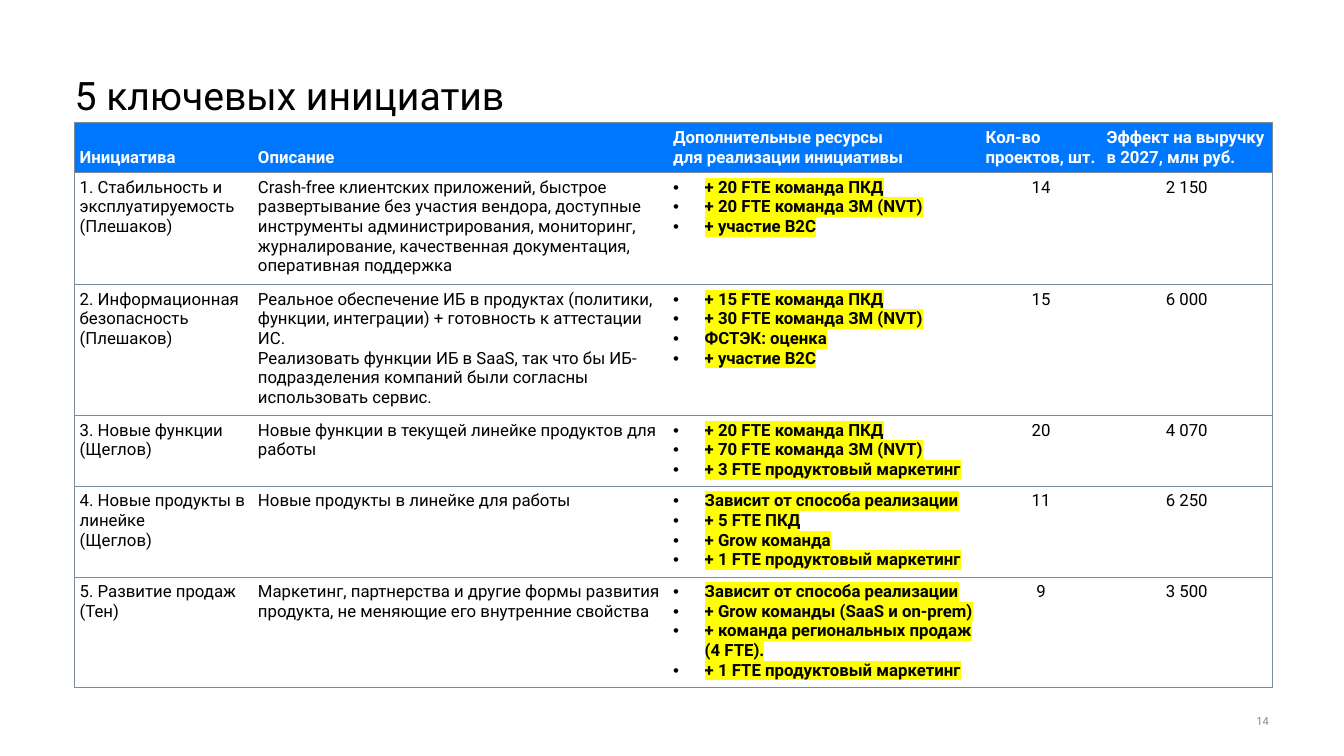
from lxml.etree import SubElement
from pptx import Presentation
from pptx.dml.color import RGBColor
from pptx.enum.text import MSO_ANCHOR, PP_ALIGN
from pptx.oxml import parse_xml
from pptx.oxml.ns import qn
from pptx.util import Pt

DRAWING = 'xmlns:a="http://schemas.openxmlformats.org/drawingml/2006/main"'
BORDER = "7C8A9A"
HEADER_BLUE = "0077FF"
HIGHLIGHT = "FFFF00"
INSET = Pt(3.6)
COLUMN_WIDTHS = [127.4, 296.6, 223.2, 86.4, 121.7]
ROW_HEIGHTS = [36, 80, 91, 49, 63, 77]
RESOURCES = 2

# "\n" starts a paragraph, "\v" breaks a line
TABLE_TEXT = [
    ["Инициатива", "Описание", "Дополнительные ресурсы\vдля реализации инициативы",
     "Кол-во проектов, шт.", "Эффект на выручку в 2027, млн руб."],
    ["1. Стабильность и эксплуатируемость\v(Плешаков)",
     "Crash-free клиентских приложений, быстрое развертывание без участия вендора, "
     "доступные инструменты администрирования, мониторинг, журналирование, "
     "качественная документация, оперативная поддержка",
     "+ 20 FTE команда ПКД\n+ 20 FTE команда ЗМ (NVT)\n+ участие B2C",
     "14", "2 150"],
    ["2. Информационная безопасность\n(Плешаков)",
     "Реальное обеспечение ИБ в продуктах (политики, функции, интеграции) + "
     "готовность к аттестации ИС.\nРеализовать функции ИБ в SaaS, так что бы "
     "ИБ-подразделения компаний были согласны использовать сервис.",
     "+ 15 FTE команда ПКД\n+ 30 FTE команда ЗМ (NVT)\nФСТЭК: оценка\n+ участие B2C",
     "15", "6 000"],
    ["3. Новые функции\n(Щеглов)",
     "Новые функции в текущей линейке продуктов для работы",
     "+ 20 FTE команда ПКД\n+ 70 FTE команда ЗМ (NVT)\n+ 3 FTE продуктовый маркетинг",
     "20", "4 070"],
    ["4. Новые продукты в линейке\v(Щеглов)",
     "Новые продукты в линейке для работы",
     "Зависит от способа реализации\n+ 5 FTE ПКД\n+ Grow команда\n"
     "+ 1 FTE продуктовый маркетинг",
     "11", "6 250"],
    ["5. Развитие продаж\v(Тен)",
     "Маркетинг, партнерства и другие формы развития продукта, "
     "не меняющие его внутренние свойства",
     "Зависит от способа реализации\n+ Grow команды (SaaS и on-prem)\n"
     "+ команда региональных продаж (4 FTE).\n+ 1 FTE продуктовый маркетинг",
     "9", "3 500"],
]


def color(hex_string):
    return RGBColor.from_string(hex_string)


def style_paragraph(para, size, hex_string, bold=False, align=PP_ALIGN.LEFT):
    para.alignment = align
    for span in para.runs:
        span.font.name = "Roboto"
        span.font.size = Pt(size)
        span.font.bold = bold
        span.font.color.rgb = color(hex_string)


deck = Presentation()
deck.slide_width, deck.slide_height = Pt(960), Pt(540)
page = deck.slides.add_slide(deck.slide_layouts[6])

# Title and page number
for text, place, size, hex_string, align, anchor in [
    ("14", (890.6, 500.4, 15.8, 28.8), 8, "8C8C8C", PP_ALIGN.RIGHT, MSO_ANCHOR.MIDDLE),
    ("5 ключевых инициатив", (53.3, 54.7, 854.6, 50.4), 28, "000000",
     PP_ALIGN.LEFT, MSO_ANCHOR.TOP),
]:
    box = page.shapes.add_textbox(*[Pt(value) for value in place])
    frame = box.text_frame
    frame.word_wrap = True
    frame.vertical_anchor = anchor
    frame.margin_left = frame.margin_right = frame.margin_top = frame.margin_bottom = 0
    frame.text = text
    style_paragraph(frame.paragraphs[0], size, hex_string, align=align)
    if size == 28:
        frame.paragraphs[0].line_spacing = 0.9

# Table of initiatives
table = page.shapes.add_table(
    len(ROW_HEIGHTS), len(COLUMN_WIDTHS), Pt(53.3), Pt(87.1),
    Pt(sum(COLUMN_WIDTHS)), Pt(sum(ROW_HEIGHTS))).table
table.first_row = table.horz_banding = False
for column, width in zip(table.columns, COLUMN_WIDTHS):
    column.width = Pt(width)
for row, height in zip(table.rows, ROW_HEIGHTS):
    row.height = Pt(height)

last_column = len(COLUMN_WIDTHS) - 1
for row_index, row_text in enumerate(TABLE_TEXT):
    is_header = row_index == 0
    for column_index, text in enumerate(row_text):
        cell = table.cell(row_index, column_index)
        cell.text_frame.text = text
        cell.margin_left = cell.margin_right = cell.margin_top = cell.margin_bottom = INSET
        cell.vertical_anchor = MSO_ANCHOR.BOTTOM if is_header else MSO_ANCHOR.TOP

        properties = cell._tc.get_or_add_tcPr()
        visible = {"lnL": column_index == 0, "lnR": column_index == last_column,
                   "lnT": True, "lnB": True}
        for side, shown in visible.items():
            fill = (f'<a:solidFill><a:srgbClr val="{BORDER}"/></a:solidFill>'
                    if shown else "<a:noFill/>")
            properties.append(parse_xml(
                f'<a:{side} {DRAWING} w="{Pt(0.5)}">{fill}</a:{side}>'))
        if is_header:
            cell.fill.solid()
            cell.fill.fore_color.rgb = color(HEADER_BLUE)
        else:
            cell.fill.background()

        is_resource = column_index == RESOURCES and not is_header
        is_number = column_index > RESOURCES and not is_header
        for para in cell.text_frame.paragraphs:
            style_paragraph(para, 12, "FFFFFF" if is_header else "000000",
                            bold=is_header or is_resource,
                            align=PP_ALIGN.CENTER if is_number else PP_ALIGN.LEFT)
            if is_resource:
                bullet_properties = para._p.get_or_add_pPr()
                bullet_properties.set("marL", str(Pt(22.5)))
                bullet_properties.set("indent", str(Pt(-22.5)))
                SubElement(bullet_properties, qn("a:buFont"), typeface="Arial")
                SubElement(bullet_properties, qn("a:buChar"), char="•")
                for span in para.runs:
                    span.font._rPr.find(qn("a:solidFill")).addnext(parse_xml(
                        f'<a:highlight {DRAWING}><a:srgbClr val="{HIGHLIGHT}"/></a:highlight>'))

deck.save("out.pptx")
